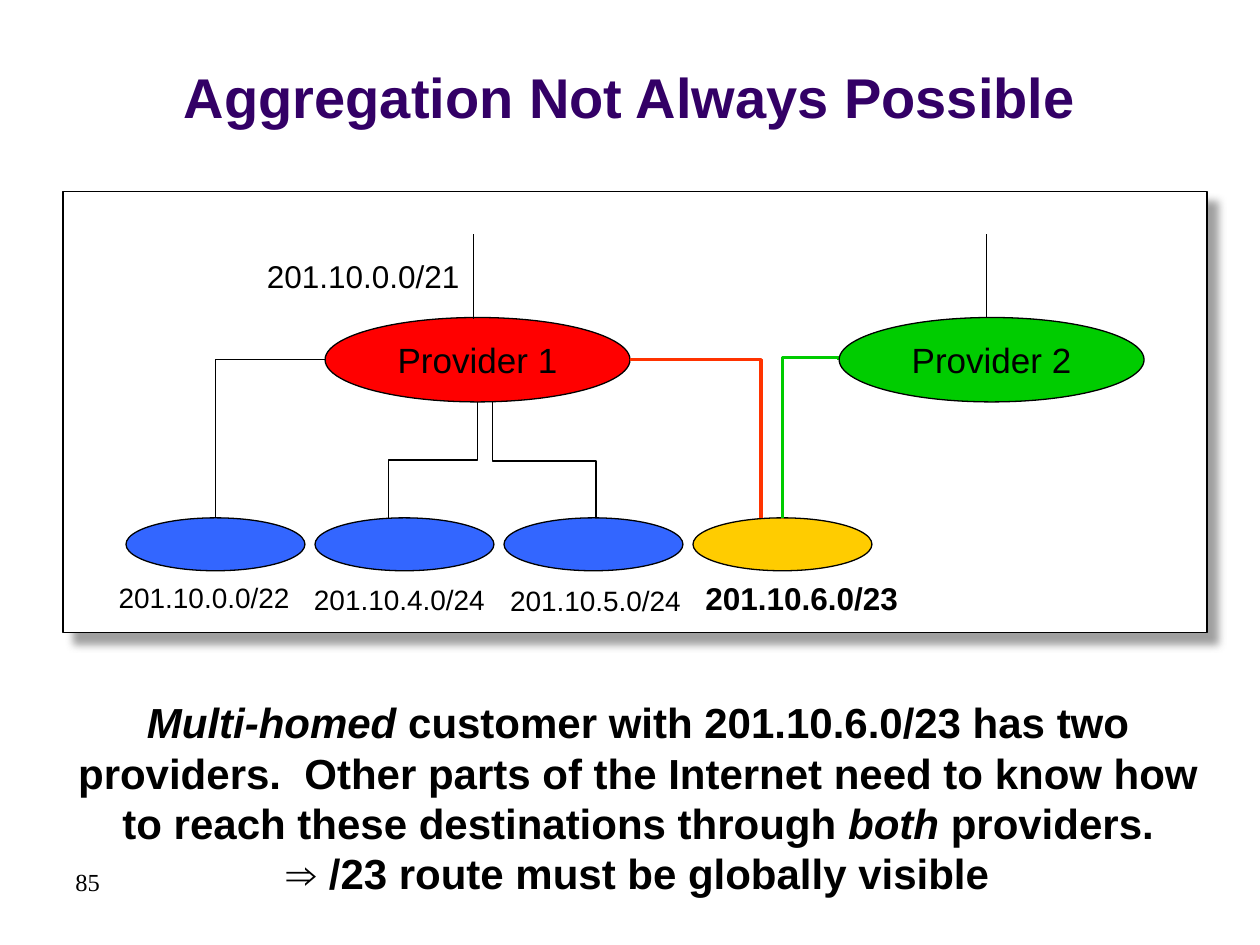
from lxml import etree
from pptx import Presentation, util as u
from pptx.dml.color import RGBColor
from pptx.enum import shapes, text
from pptx.oxml.ns import qn

WIDTH, HEIGHT = 10, 7.5
BLACK, WHITE, BLUE = "000000", "FFFFFF", "3366FF"
RED, GREEN, YELLOW, ORANGE = "FF0000", "00CC00", "FFCC00", "FF3300"
CENTER = text.PP_ALIGN.CENTER
LEFT = text.PP_ALIGN.LEFT


def color(code):
    return RGBColor.from_string(code)


def inches(*values):
    return [u.Inches(value) for value in values]


def write(frame, paragraphs, size, align=LEFT, font="Arial", fill=BLACK, bold=False):
    """Each paragraph is a list of (words, italic) runs."""
    for index, runs in enumerate(paragraphs):
        para = frame.paragraphs[0] if index == 0 else frame.add_paragraph()
        para.alignment = align
        for words, italic in runs:
            span = para.add_run()
            span.text = words
            span.font.name, span.font.size = font, u.Pt(size)
            span.font.bold, span.font.italic = bold, italic
            span.font.color.rgb = color(fill)


def add_text(page, box, paragraphs, size, wrap=True, anchor=text.MSO_ANCHOR.TOP, **style):
    frame = page.shapes.add_textbox(*inches(*box)).text_frame
    frame.word_wrap = wrap
    frame.vertical_anchor = anchor
    write(frame, paragraphs, size, **style)


def add_block(page, kind, box, fill, label=None):
    block = page.shapes.add_shape(kind, *inches(*box))
    block.shadow.inherit = False
    block.fill.solid()
    block.fill.fore_color.rgb = color(fill)
    block.line.color.rgb = color(BLACK)
    block.line.width = u.Pt(0.75)
    if label:
        block.text_frame.word_wrap = False
        block.text_frame.vertical_anchor = text.MSO_ANCHOR.MIDDLE
        write(block.text_frame, [[(label, False)]], 20, align=CENTER)
    return block


def add_line(page, kind, start, end, stroke=BLACK, weight=0.75):
    line = page.shapes.add_connector(kind, *inches(*start, *end))
    line.line.color.rgb = color(stroke)
    line.line.width = u.Pt(weight)
    etree.SubElement(line._element.spPr, qn("a:effectLst"))
    return line


def add_corner(page, start, end, **style):
    """Across first, then down: one bend."""
    line = add_line(page, shapes.MSO_CONNECTOR.ELBOW, start, end, **style)
    line._element.spPr.find(qn("a:prstGeom")).set("prst", "bentConnector2")


def add_step(page, start, end, share=0.5, **style):
    """Down, across at the given share of the drop, then down again."""
    (x1, y1), (x2, y2) = start, end
    drop, shift = y2 - y1, abs(x2 - x1)
    left, top = (x1 + x2 - drop) / 2, (y1 + y2 - shift) / 2
    line = add_line(page, shapes.MSO_CONNECTOR.ELBOW, (left, top),
                    (left + drop, top + shift), **style)
    frame = line._element.spPr.find(qn("a:xfrm"))
    frame.set("rot", str((90 if x2 < x1 else 270) * 60000))
    if x2 > x1:
        frame.set("flipH", "1")
    guides = line._element.spPr.find(qn("a:prstGeom")).get_or_add_avLst()
    etree.SubElement(guides, qn("a:gd"), name="adj1", fmla=f"val {round(share * 100000)}")


def add_shadow(block):
    effects = block._element.spPr.find(qn("a:effectLst"))
    shadow = etree.SubElement(effects, qn("a:outerShdw"), blurRad=str(u.Pt(5)),
                              dist=str(u.Pt(8.5)), dir="2700000", algn="tl",
                              rotWithShape="0")
    tint = etree.SubElement(shadow, qn("a:srgbClr"), val="808080")
    etree.SubElement(tint, qn("a:alpha"), val="75000")


def add_network(page, box):
    left, top, width, height = box
    oval = shapes.MSO_SHAPE.OVAL
    add_shadow(add_block(page, shapes.MSO_SHAPE.RECTANGLE, box, WHITE))

    # Grid: customers sit on columns of equal pitch, providers one row above
    pitch, customer_w, customer_h = 1.5, 1.42, 0.42
    provider_w, provider_h = 2.42, 0.67
    provider_y, customer_y = top + 1, top + 2.59
    middle_y, bottom_y = provider_y + provider_h / 2, provider_y + provider_h
    columns = [left + 0.5 + pitch * index for index in range(4)]
    centers = [column + customer_w / 2 for column in columns]
    first_x, second_x = left + 2.08, left + 6.16

    # Address labels
    labels = [("201.10.0.0/21", 2.02, 1.99, 1.73, 18, LEFT, False),
              ("201.10.0.0/22", 0.84, 4.56, 1.56, 16, CENTER, False),
              ("201.10.4.0/24", 2.39, 4.57, 1.56, 16, CENTER, False),
              ("201.10.5.0/24", 3.95, 4.58, 1.56, 16, LEFT, False),
              ("201.10.6.0/23", 5.5, 4.55, 1.73, 18, LEFT, True)]
    for words, x, y, label_w, size, align, bold in labels:
        add_text(page, (x, y, label_w, 0.1 + size / 60), [[(words, False)]], size,
                 wrap=False, align=align, bold=bold)

    # Customers and first provider
    add_block(page, oval, (first_x, provider_y, provider_w, provider_h), RED, "Provider 1")
    for column, fill in zip(columns, (BLUE, BLUE, BLUE, YELLOW)):
        add_block(page, oval, (column, customer_y, customer_w, customer_h), fill)

    # Links from providers to customers
    first_center = first_x + provider_w / 2
    add_corner(page, (first_x, middle_y), (centers[0], customer_y))
    add_step(page, (first_center, bottom_y), (3.08, customer_y))
    add_corner(page, (first_x + provider_w, middle_y), (6.04, customer_y),
               stroke=ORANGE, weight=2)
    add_step(page, (first_center + 0.12, bottom_y), (4.73, customer_y), share=0.51)
    add_step(page, (second_x, middle_y), (centers[3], customer_y), share=-0.014,
             stroke=GREEN, weight=2)

    # Uplinks, with the second provider over the end of its line
    for x in (3.76, 7.83):
        add_line(page, shapes.MSO_CONNECTOR.STRAIGHT, (x, provider_y + 0.01), (x, top + 0.34))
    add_block(page, oval, (second_x, provider_y, provider_w, provider_h), GREEN, "Provider 2")


def add_summary(page, box):
    add_text(page, box, [
        [("Multi-homed", True),
         (" customer with 201.10.6.0/23 has two providers.  Other parts of the Internet "
          "need to know how to reach these destinations through ", False),
         ("both", True), (" providers.", False)],
        [("⇒ /23 route must be globally visible", False)],
    ], 24, align=CENTER, bold=True)


def main():
    deck = Presentation()
    deck.slide_width, deck.slide_height = inches(WIDTH, HEIGHT)
    page = deck.slides.add_slide(deck.slide_layouts[6])
    # Page number and title
    add_text(page, (0.5, 6.83, 2.33, 0.5), [[("85", False)]], 14, font="Times New Roman")
    add_text(page, (0, 0.13, WIDTH, 0.95), [[("Aggregation Not Always Possible", False)]], 32,
             anchor=text.MSO_ANCHOR.BOTTOM, align=CENTER, fill="330066", bold=True)
    add_network(page, (0.5, 1.52, 9.08, 3.5))
    add_summary(page, (0.51, 5.48, 9.11, 1.7))
    deck.save("out.pptx")


if __name__ == "__main__":
    main()
